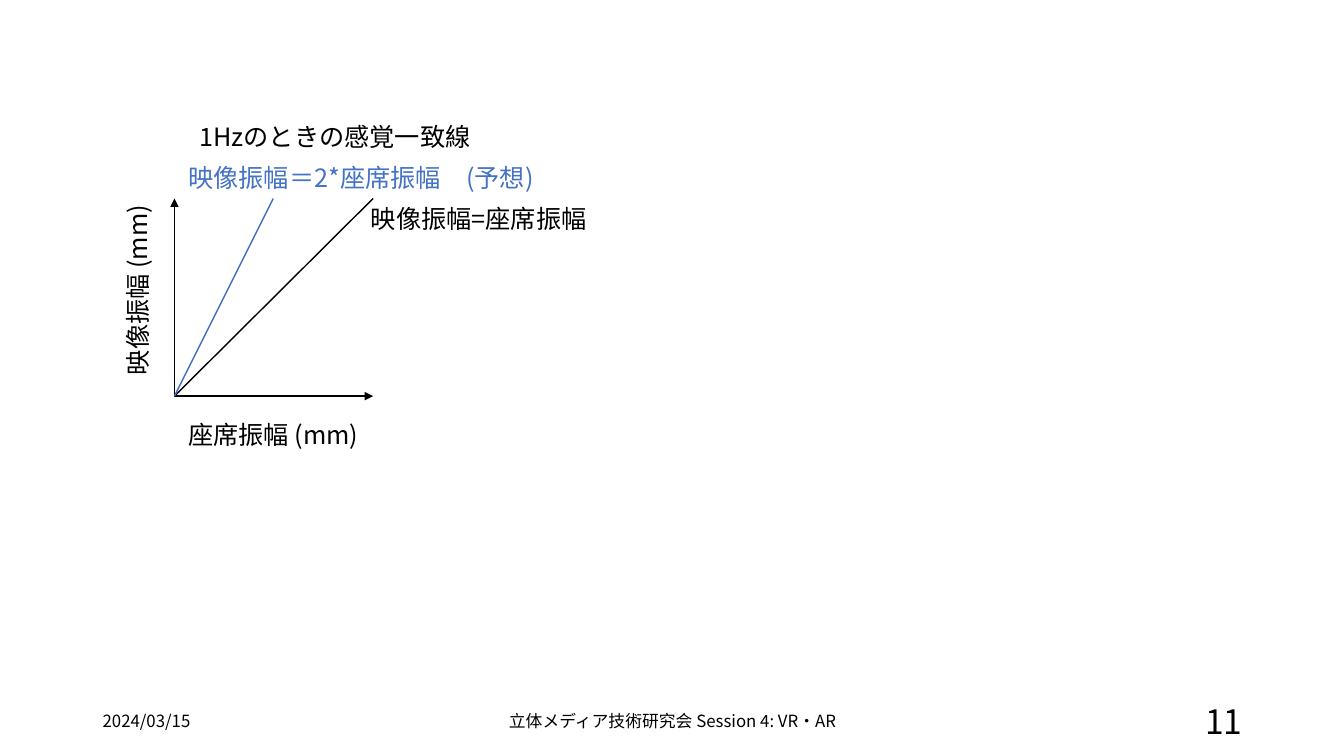
from dataclasses import dataclass

from pptx import Presentation
from pptx.dml.color import RGBColor
from pptx.enum.shapes import MSO_CONNECTOR
from pptx.enum.text import MSO_ANCHOR as ANCHOR, PP_ALIGN as ALIGN
from pptx.oxml.ns import qn
from pptx.util import Inches, Pt


@dataclass(frozen=True)
class Theme:
    font: str = "Noto Sans CJK JP"
    ink: RGBColor = RGBColor(0x00, 0x00, 0x00)
    accent: RGBColor = RGBColor(0x44, 0x72, 0xC4)
    footer: int = 12
    label: int = 18
    number: int = 24
    line: int = 1


THEME = Theme()

# Axis geometry in inches
ORIGIN_X, ORIGIN_Y = 1.73, 3.93
AXIS_RIGHT, AXIS_TOP = 3.7, 1.97
MID_X = 2.71


def add_text(shapes, text, left, top, width, size=THEME.label, color=THEME.ink,
             align=ALIGN.LEFT, anchor=ANCHOR.TOP, rotation=0):
    sp = shapes.add_textbox(Inches(left), Inches(top), Inches(width), Inches(0.4))
    sp.rotation = rotation
    tf = sp.text_frame
    tf.word_wrap = True
    tf.vertical_anchor = anchor
    p = tf.paragraphs[0]
    p.alignment = align
    r = p.add_run()
    r.text = text
    for name, value in {"name": THEME.font, "size": Pt(size)}.items():
        setattr(r.font, name, value)
    r.font.color.rgb = color
    # East Asian glyphs use the same typeface
    ea = r.font._element.makeelement(qn("a:ea"), {"typeface": THEME.font})
    r.font._element.append(ea)


def add_line(shapes, end_x, end_y, color=THEME.ink, arrow=False):
    """Draw a line from the graph origin to the given point."""
    cxn = shapes.add_connector(MSO_CONNECTOR.STRAIGHT, Inches(ORIGIN_X),
                               Inches(ORIGIN_Y), Inches(end_x), Inches(end_y))
    cxn.line.color.rgb = color
    cxn.line.width = Pt(THEME.line)
    if arrow:
        ln = cxn.line._get_or_add_ln()
        ln.append(ln.makeelement(qn("a:tailEnd"), {"type": "triangle"}))
    sp_pr = cxn._element.spPr
    sp_pr.append(sp_pr.makeelement(qn("a:effectLst"), {}))


def add_footer(shapes):
    for text, left, width, size, align in (
        ("2024/03/15", 0.92, 3, THEME.footer, ALIGN.LEFT),
        ("立体メディア技術研究会 Session 4: VR・AR", 4.08, 5.18, THEME.footer, ALIGN.CENTER),
        ("11", 9.42, 3, THEME.number, ALIGN.RIGHT),
    ):
        add_text(shapes, text, left, 6.95, width, size, align=align, anchor=ANCHOR.MIDDLE)


def add_graph(shapes):
    # Equality line and axes
    add_line(shapes, AXIS_RIGHT, AXIS_TOP)
    add_line(shapes, AXIS_RIGHT, ORIGIN_Y, arrow=True)
    add_line(shapes, ORIGIN_X, AXIS_TOP, arrow=True)
    # Axis labels
    add_text(shapes, "映像振幅 (mm)", 0.36, 2.62, 2, rotation=270)
    add_text(shapes, "座席振幅 (mm)", 1.77, 4.11, 2)
    # Heading and equality label
    add_text(shapes, "1Hzのときの感覚一致線", 1.88, 1.15, 3.03)
    add_text(shapes, "映像振幅=座席振幅", 3.58, 1.97, 2.42)
    # Predicted line and its label
    add_line(shapes, MID_X, AXIS_TOP, THEME.accent)
    add_text(shapes, "映像振幅＝2*座席振幅　(予想)", 1.77, 1.56, 3.77, color=THEME.accent)


def main():
    prs = Presentation()
    prs.slide_width, prs.slide_height = Inches(13.33), Inches(7.5)
    s = prs.slides.add_slide(prs.slide_layouts[6])
    add_footer(s.shapes)
    add_graph(s.shapes.add_group_shape().shapes)
    prs.save("out.pptx")


if __name__ == "__main__":
    main()
